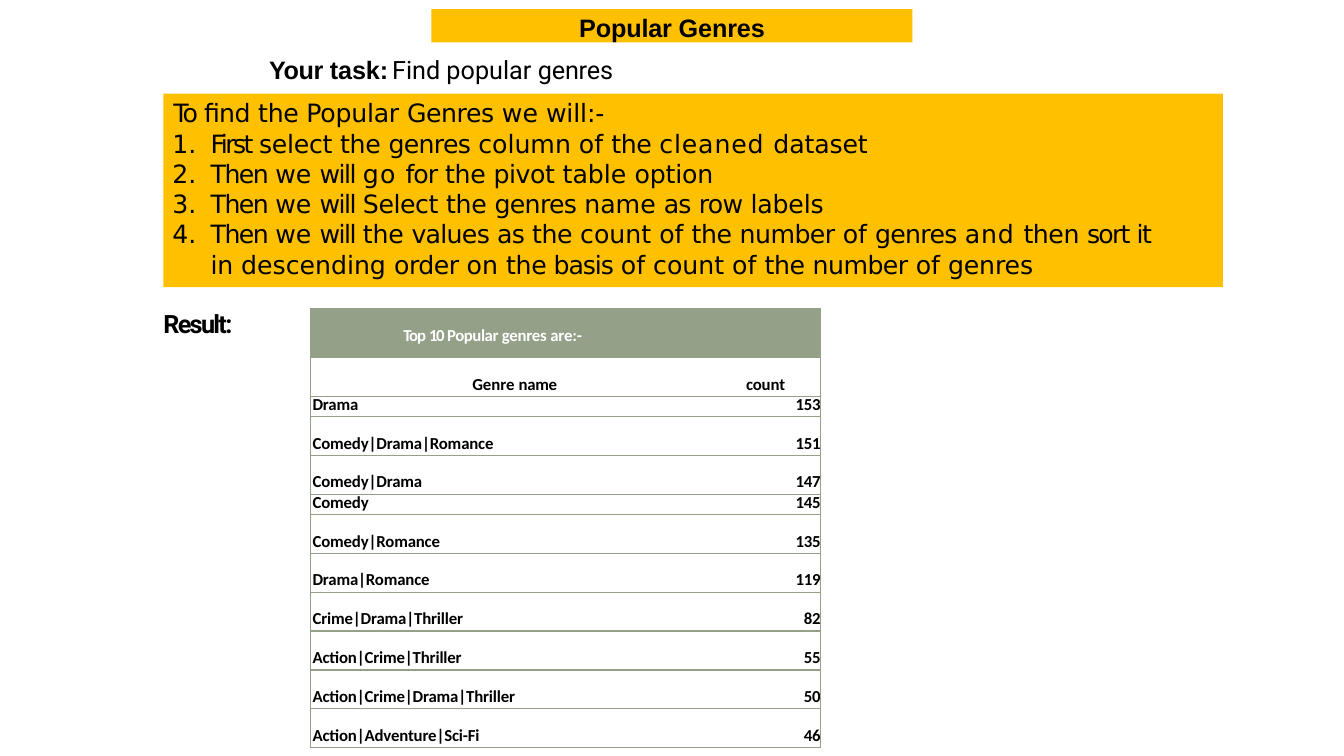
from dataclasses import dataclass

from lxml import etree
from pptx import Presentation
from pptx.dml.color import RGBColor
from pptx.enum.shapes import MSO_SHAPE
from pptx.enum.text import MSO_ANCHOR, PP_ALIGN
from pptx.oxml.ns import qn
from pptx.util import Inches, Pt

RECTANGLE = MSO_SHAPE.RECTANGLE
LEFT, CENTER, RIGHT = PP_ALIGN.LEFT, PP_ALIGN.CENTER, PP_ALIGN.RIGHT
TOP = MSO_ANCHOR.TOP


@dataclass(frozen=True)
class Theme:
    ink: str = "000000"
    paper: str = "FFFFFF"
    highlight: str = "FFC000"
    sage: str = "94A088"
    heading_font: str = "Arial"
    steps_font: str = "DejaVu Sans"
    label_font: str = "Roboto"
    table_font: str = "Calibri"
    body_size: int = 18
    table_size: int = 12
    table_leading: float = 13.6
    border_width: int = 1


class SlideBuilder:
    def __init__(self, slide, theme):
        self.slide = slide
        self.theme = theme

    def runs(self, paragraph, pieces, font, size, color, bold):
        """Add (text, letter spacing in points) pieces as runs."""
        for text, spacing in pieces:
            run = paragraph.add_run()
            run.text = text
            run.font.name = font
            run.font.size = Pt(size)
            run.font.bold = bold
            run.font.color.rgb = RGBColor.from_string(color)
            if spacing:
                run._r.get_or_add_rPr().set("spc", str(round(spacing * 100)))

    def indent(self, paragraph, margin, first_line=0, numbered=False):
        props = paragraph._p.get_or_add_pPr()
        props.set("marL", str(Inches(margin)))
        props.set("indent", str(Inches(first_line)))
        if numbered:
            etree.SubElement(props, qn("a:buFont"), typeface="+mj-lt")
            etree.SubElement(props, qn("a:buAutoNum"), type="arabicPeriod")

    def box(self, place, top_inset, fill=None, right_inset=0.0):
        """Return the empty text frame of a rectangle, or of a text box without fill."""
        bounds = [Inches(length) for length in place]
        if fill:
            shape = self.slide.shapes.add_shape(RECTANGLE, *bounds)
            shape.shadow.inherit = False
            shape.fill.solid()
            shape.fill.fore_color.rgb = RGBColor.from_string(fill)
            shape.line.fill.background()
        else:
            shape = self.slide.shapes.add_textbox(*bounds)
        frame = shape.text_frame
        frame.word_wrap = True
        frame.vertical_anchor = TOP
        frame.margin_left = frame.margin_bottom = 0
        frame.margin_right = Inches(right_inset)
        frame.margin_top = Inches(top_inset)
        return frame

    def label(self, place, pieces, font, top_inset=0.01, fill=None,
              align=LEFT, bold=True, margin=0.0, leading=None):
        paragraph = self.box(place, top_inset, fill).paragraphs[0]
        self.indent(paragraph, margin)
        paragraph.alignment = align
        if leading:
            paragraph.line_spacing = Pt(leading)
        self.runs(paragraph, pieces, font, self.theme.body_size, self.theme.ink, bold)

    def steps(self, place, intro, items):
        theme = self.theme
        frame = self.box(place, 0.04, theme.highlight, right_inset=0.45)
        for number, pieces in enumerate([intro, *items]):
            paragraph = frame.add_paragraph() if number else frame.paragraphs[0]
            paragraph.alignment = LEFT
            if number:
                self.indent(paragraph, 0.47, -0.38, numbered=True)
            else:
                self.indent(paragraph, 0.1)
            self.runs(paragraph, pieces, theme.steps_font, theme.body_size, theme.ink, False)

    def borders(self, cell, visible):
        """Draw the visible sides (letters of LRTB) and clear the others."""
        props = cell._tc.get_or_add_tcPr()
        for position, side in enumerate("LRTB"):
            line = etree.Element(qn(f"a:ln{side}"), w=str(Pt(self.theme.border_width)))
            if side in visible:
                fill = etree.SubElement(line, qn("a:solidFill"))
                etree.SubElement(fill, qn("a:srgbClr"), val=self.theme.sage)
            else:
                etree.SubElement(line, qn("a:noFill"))
            props.insert(position, line)

    def cell(self, cell, pieces, top_inset, align, margin, header):
        theme = self.theme
        cell.margin_left = cell.margin_right = cell.margin_bottom = 0
        cell.margin_top = Inches(top_inset)
        cell.fill.solid()
        cell.fill.fore_color.rgb = RGBColor.from_string(theme.sage if header else theme.paper)
        paragraph = cell.text_frame.paragraphs[0]
        paragraph.alignment = align
        paragraph.line_spacing = Pt(theme.table_leading)
        self.indent(paragraph, margin)
        color = theme.paper if header else theme.ink
        self.runs(paragraph, pieces, theme.table_font, theme.table_size, color, True)

    def genre_table(self, place, widths, title, headings, genres, short_rows):
        short = 0.2
        row_count = len(genres) + 2
        tall = (place[3] - short * len(short_rows)) / (row_count - len(short_rows))
        table = self.slide.shapes.add_table(
            row_count, 2, *[Inches(length) for length in place]).table
        table.first_row = table.horz_banding = False
        for column, width in zip(table.columns, widths):
            column.width = Inches(width)
        # Each row: genre pieces, count pieces, alignments, left margins
        rows = [
            ((title, []), (LEFT, LEFT), (0.92, 0)),
            (headings, (CENTER, LEFT), (0, 0.27)),
        ]
        for genre, count in genres:
            rows.append((([(genre, -0.1)], [(str(count), -0.2)]), (LEFT, RIGHT), (0.02, 0)))
        for index, (texts, aligns, margins) in enumerate(rows):
            is_short = index in short_rows
            table.rows[index].height = Inches(short if is_short else tall)
            for column, outer_side in enumerate("LR"):
                cell = table.cell(index, column)
                self.cell(cell, texts[column], 0 if is_short else 0.18,
                          aligns[column], margins[column], header=index == 0)
                self.borders(cell, outer_side + "TB")


THEN_WE_WILL = [("Then ", -1.1), ("we ", 0), ("will ", -1.1)]
COUNT_OF_GENRES = [("count of ", 0), ("the ", -0.3), ("number ", -0.4), ("of ", 0)]
INTRO = [("To ", -1.4), ("find ", -0.3), ("the Popular ", -0.2), ("Genres ", -0.3),
         ("we ", 0), ("will:-", -0.1)]
STEPS = [
    [("First ", -1.8), ("select the ", -0.2), ("genres ", -0.5), ("column of ", 0),
     ("the ", -0.3), ("cleaned ", 0.6), ("dataset", -0.1)],
    [*THEN_WE_WILL, ("go ", 0.8), ("for ", -0.8), ("the ", -0.2), ("pivot ", -0.3),
     ("table ", 0), ("option", -0.1)],
    [*THEN_WE_WILL, ("Select ", -0.3), ("the ", -0.2), ("genres ", -0.5), ("name ", 0),
     ("as ", -0.6), ("row ", -0.5), ("labels", -0.1)],
    [*THEN_WE_WILL, ("the ", -0.2), ("values ", -0.5), ("as ", -0.6), ("the ", -0.3),
     *COUNT_OF_GENRES, ("genres ", -0.5), ("and ", 0.6), ("then ", -0.3), ("sort ", -1.3),
     ("it ", -1.1), ("in ", -0.2), ("descending ", 0), ("order ", -0.4), ("on ", 0),
     ("the", -0.2), (" basis ", -0.8), ("of ", 0), *COUNT_OF_GENRES, ("genres", -0.1)],
]
TABLE_TITLE = [("Top ", -0.7), ("10 ", -1), ("Popular ", -0.3), ("genres ", -0.2),
               ("are:-", -0.1)]
HEADINGS = ([("Genre ", 0), ("name", -0.2)], [("count", -0.1)])
GENRES = [
    ("Drama", 153), ("Comedy|Drama|Romance", 151), ("Comedy|Drama", 147),
    ("Comedy", 145), ("Comedy|Romance", 135), ("Drama|Romance", 119),
    ("Crime|Drama|Thriller", 82), ("Action|Crime|Thriller", 55),
    ("Action|Crime|Drama|Thriller", 50), ("Action|Adventure|Sci-Fi", 46),
]


def main():
    presentation = Presentation()
    presentation.slide_width = Inches(13.33)
    presentation.slide_height = Inches(7.5)
    theme = Theme()
    builder = SlideBuilder(
        presentation.slides.add_slide(presentation.slide_layouts[6]), theme)
    builder.label((4.28, 0.09, 4.77, 0.33), [("Popular Genres", -0.1)], theme.heading_font,
                  top_inset=0.03, fill=theme.highlight, align=CENTER)
    builder.steps((1.62, 0.93, 10.51, 1.92), INTRO, STEPS)
    builder.genre_table((3.08, 3.06, 5.06, 4.26), (4.05, 1.01), TABLE_TITLE, HEADINGS,
                        GENRES, short_rows=(2, 5))
    builder.label((1.62, 3.06, 0.78, 0.28), [("Result:", -1.2)], theme.label_font,
                  top_inset=0, fill=theme.paper, leading=21.6)
    builder.label((2.67, 0.53, 1.23, 0.34), [("Your ", -0.3), ("task:", -0.1)],
                  theme.heading_font, fill=theme.paper)
    builder.label((3.88, 0.53, 2.27, 0.33), [("Find popular ", 0), ("genres", -0.1)],
                  theme.label_font, bold=False, margin=0.01)
    presentation.save("out.pptx")


if __name__ == "__main__":
    main()
